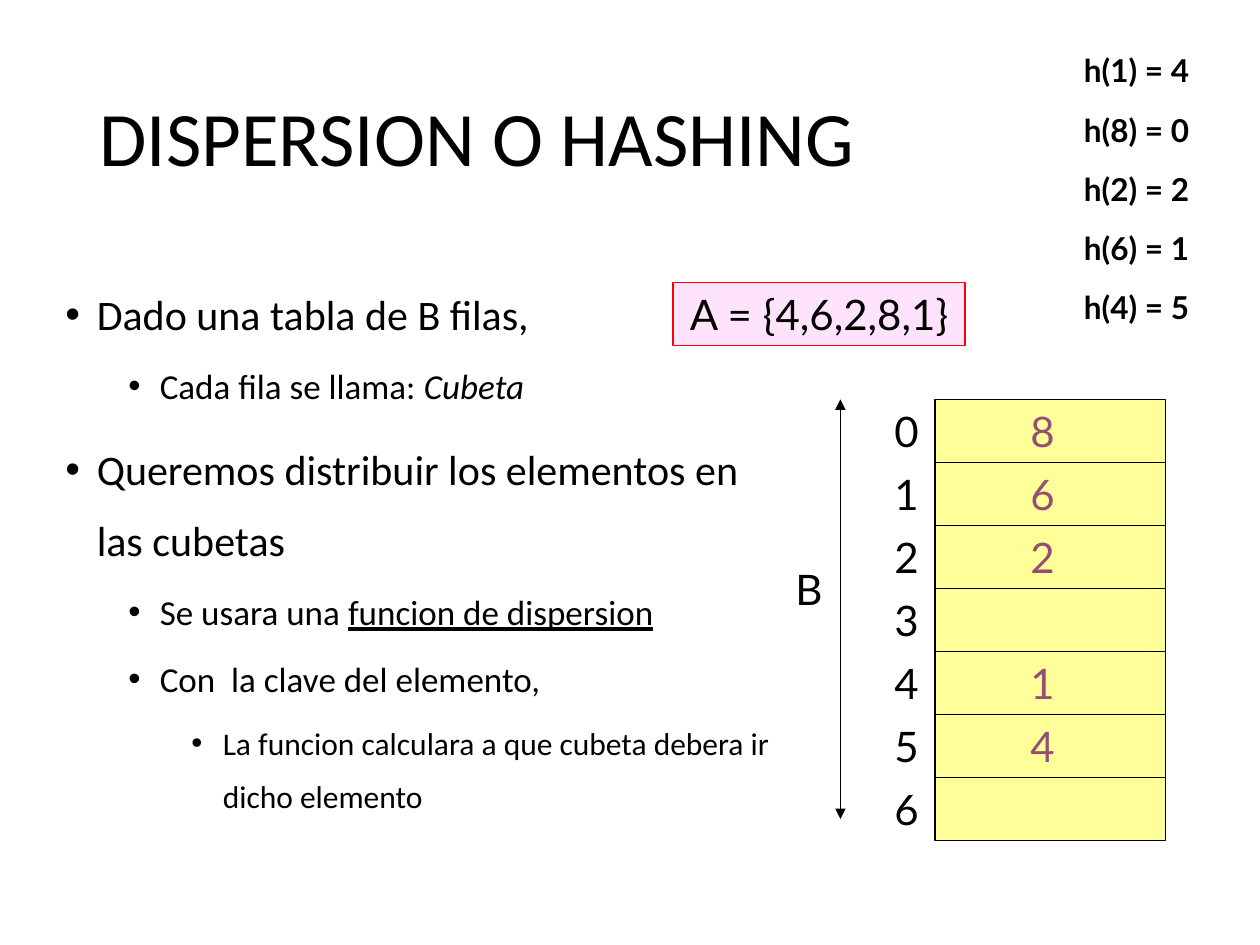
from lxml.etree import SubElement as Sub
from pptx import Presentation
from pptx.dml.color import RGBColor as RGB
from pptx.enum.shapes import MSO_CONNECTOR as Conn, MSO_SHAPE as Kind
from pptx.enum.text import MSO_ANCHOR as Anchor, PP_ALIGN as Align
from pptx.oxml.ns import qn
from pptx.util import Inches, Pt

INK = {
    "black": "000000", "white": "FFFFFF", "red": "FF0000",
    "pink": "FFE3FD", "yellow": "FFFF99", "plum": "954F72",
}
LEVELS = [(24, 10), (20, 5), (18, 5)]
POINTS = [
    (0, "Dado una tabla de B filas,", "", ""),
    (1, "Cada fila se llama: ", "Cubeta", "italic"),
    (0, "Queremos distribuir los elementos en las cubetas", "", ""),
    (1, "Se usara una ", "funcion de dispersion", "underline"),
    (1, "Con  la clave del elemento,", "", ""),
    (2, "La funcion calculara a que cubeta debera ir dicho elemento", "", ""),
]
HASHES = ["h(1) = 4", "h(8) = 0", "h(2) = 2", "h(6) = 1", "h(4) = 5"]
CELLS = ["8", "6", "2", "", "1", "4", ""]


class Page:
    def __init__(self, slide):
        self.shapes = slide.shapes
        self.head, self.body = "Calibri", "Lato"
        self.rule = Pt(0.75)

    def color(self, name):
        return RGB.from_string(INK[name])

    def font(self, para, size, face, ink="black", bold=False):
        font = para.font
        font.size, font.name, font.bold = Pt(size), face, bold
        font.color.rgb = self.color(ink)

    def center(self, shape, text, size, ink="black", bold=False):
        frame = shape.text_frame
        frame.word_wrap = False
        frame.vertical_anchor = Anchor.TOP
        para = frame.paragraphs[0]
        para.text, para.alignment = text, Align.CENTER
        self.font(para, size, self.body, ink, bold)

    def label(self, text, x, y, w, h, ink="black"):
        area = self.shapes.add_textbox(*map(Inches, (x, y, w, h)))
        self.center(area, text, 24, ink)

    def box(self, x, y, w, h, fill, line=None):
        shape = self.shapes.add_shape(Kind.RECTANGLE, *map(Inches, (x, y, w, h)))
        shape.shadow.inherit = False
        shape.fill.solid()
        shape.fill.fore_color.rgb = self.color(fill)
        if line:
            shape.line.color.rgb = self.color(line)
            shape.line.width = self.rule
        else:
            shape.line.fill.background()
        return shape

    def arrow(self, x1, y1, x2, y2):
        line = self.shapes.add_connector(Conn.STRAIGHT, *map(Inches, (x1, y1, x2, y2)))
        line.line.color.rgb = self.color("black")
        line.line.width = self.rule
        props = line._element.spPr
        for end in ("a:headEnd", "a:tailEnd"):
            Sub(props.find(qn("a:ln")), qn(end), type="triangle")
        Sub(props, qn("a:effectLst"))

    def title(self, text, x, y, w, h):
        frame = self.shapes.add_textbox(*map(Inches, (x, y, w, h))).text_frame
        frame.word_wrap = True
        frame.vertical_anchor = Anchor.MIDDLE
        para = frame.paragraphs[0]
        para.text, para.line_spacing = text, 0.9
        self.font(para, 44, self.head)

    def bullets(self, points, x, y, w, h):
        frame = self.shapes.add_textbox(*map(Inches, (x, y, w, h))).text_frame
        frame.word_wrap = True
        for i, (level, text, accent, style) in enumerate(points):
            para = frame.add_paragraph() if i else frame.paragraphs[0]
            size, gap = LEVELS[level]
            para.level, para.line_spacing, para.space_before = level, 1.4, Pt(gap)
            props = para._p.get_or_add_pPr()
            props.set("marL", str(Inches(0.25 + 0.5 * level)))
            props.set("indent", str(Inches(-0.25)))
            Sub(props, qn("a:buFont"), typeface="Arial")
            Sub(props, qn("a:buChar"), char="•")
            self.font(para, size, self.head)
            para.add_run().text = text
            if accent:
                run = para.add_run()
                run.text = accent
                if style == "italic":
                    run.font.italic = True
                else:
                    run.font.underline = True


def main():
    deck = Presentation()
    deck.slide_width, deck.slide_height = Inches(10), Inches(7.5)
    page = Page(deck.slides.add_slide(deck.slide_layouts[6]))

    page.title("DISPERSION O HASHING", 0.69, 0.4, 8.63, 1.45)
    page.bullets(POINTS, 0.42, 2.08, 5.83, 4.5)
    values = page.box(5.34, 2.24, 2.32, 0.5, "pink", "red")
    page.center(values, "A = {4,6,2,8,1}", 24)

    page.arrow(6.67, 3.17, 6.67, 6.5)
    page.label("B", 6.21, 4.42, 0.42, 0.5)
    for row, value in enumerate(CELLS):
        top = 3.17 + 0.5 * row
        page.box(7.42, top, 1.83, 0.5, "yellow", "black")
        page.label(str(row), 7, top, 0.38, 0.5)
        if value:
            page.label(value, 8.08, top, 0.38, 0.5, "plum")

    for row, text in enumerate(HASHES):
        item = page.box(8.48, 0.36 + 0.47 * row, 1.08, 0.4, "white")
        page.center(item, text, 18, bold=True)

    deck.save("out.pptx")


if __name__ == "__main__":
    main()
